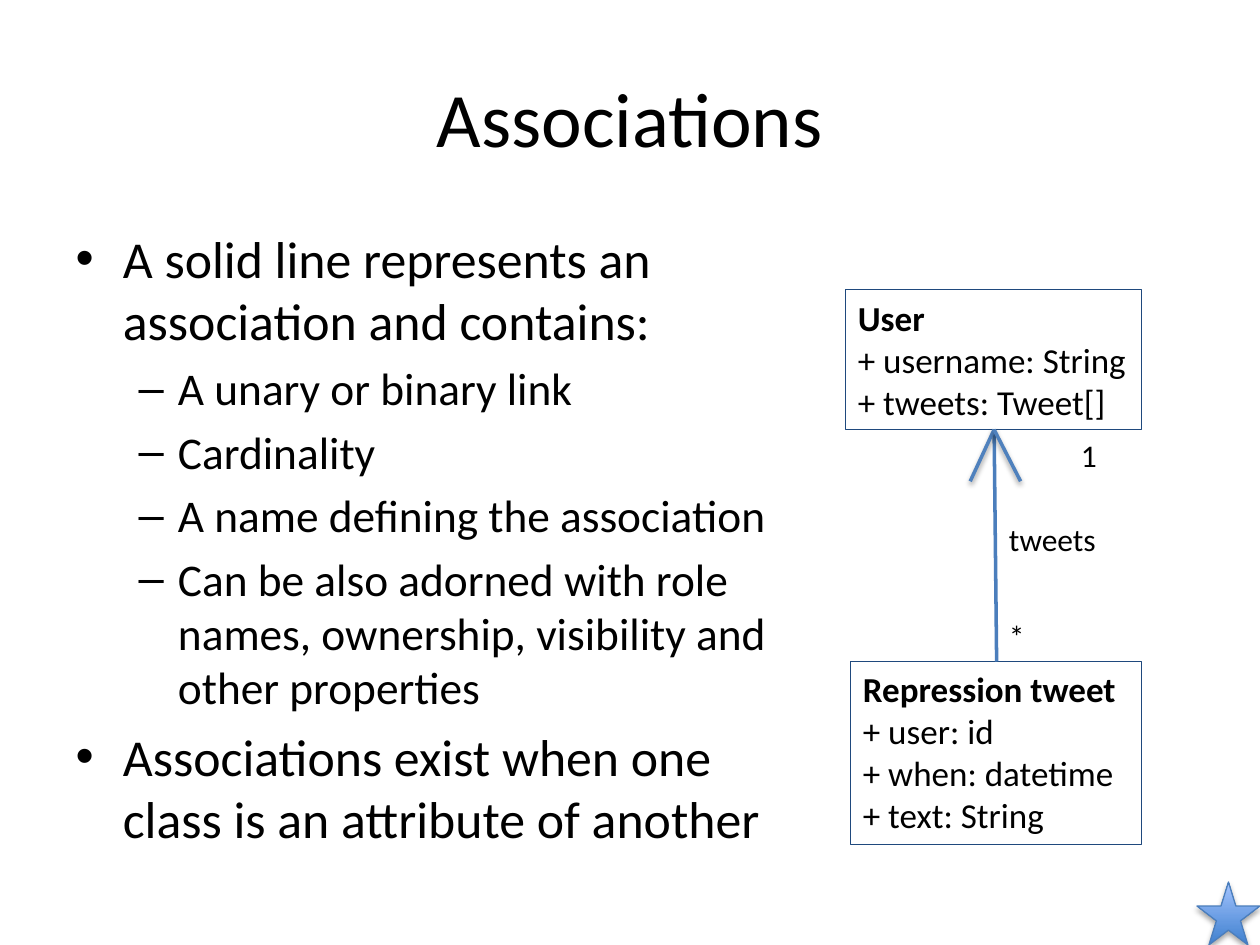
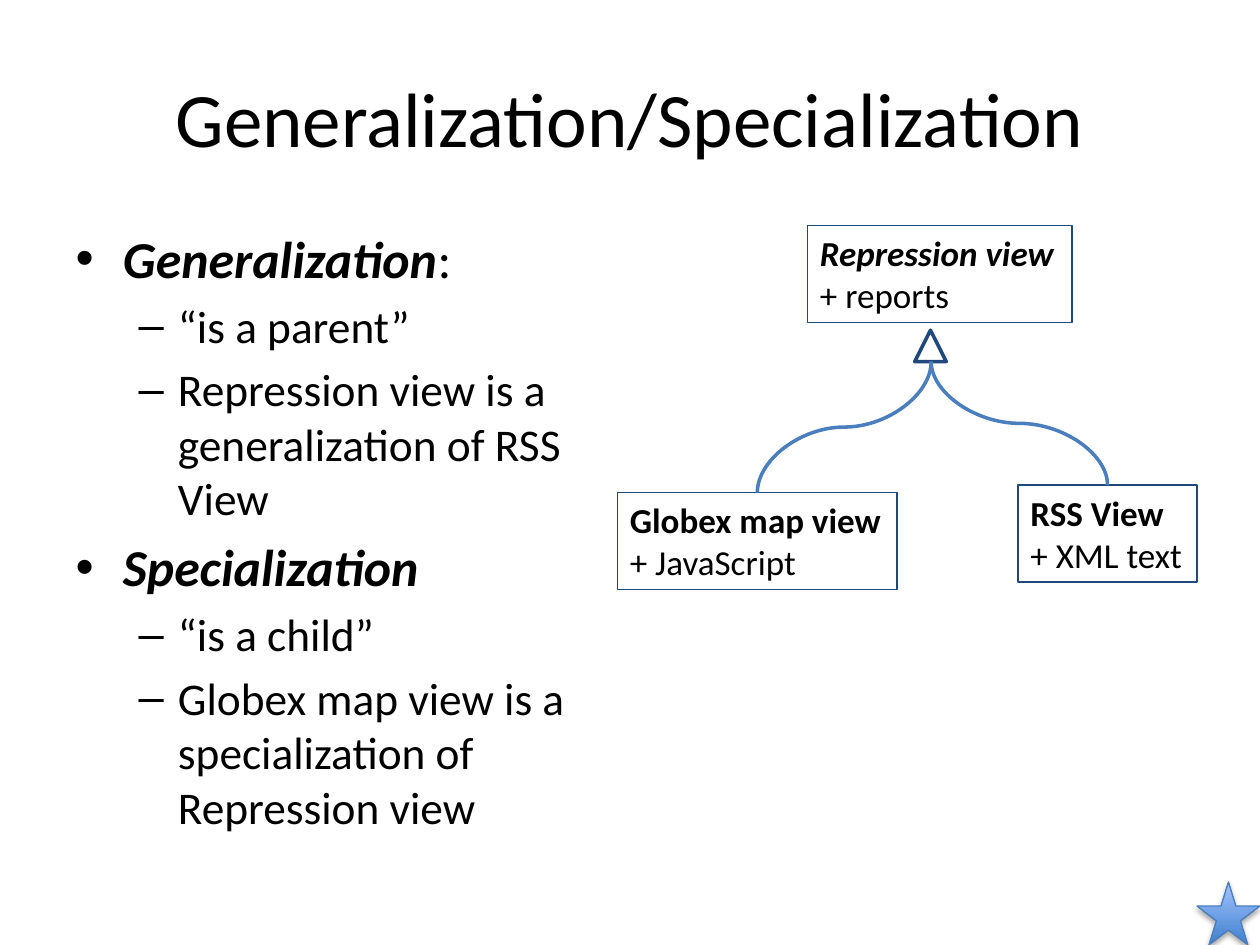
from lxml.etree import SubElement
from pptx import Presentation
from pptx.dml.color import RGBColor
from pptx.enum.shapes import MSO_CONNECTOR, MSO_SHAPE
from pptx.enum.text import MSO_AUTO_SIZE
from pptx.oxml.ns import qn
from pptx.util import Inches, Pt

FONT = "Calibri"
BLACK = RGBColor(0x00, 0x00, 0x00)
WHITE = RGBColor(0xFF, 0xFF, 0xFF)
NAVY = RGBColor(0x1F, 0x49, 0x7D)
LINK_BLUE = RGBColor(0x4B, 0x7E, 0xBC)
ARROW_BLUE = RGBColor(0x4F, 0x81, 0xBD)
STAR_DARK = RGBColor(0x3F, 0x80, 0xCE)
STAR_LIGHT = RGBColor(0xA4, 0xC4, 0xFF)
BULLET_SIZES = [29.6, 25.9]


def finish_outline(shape, color, width, shadow=None):
    """Set the line and either a (opacity percent, distance) shadow or none."""
    shape.line.color.rgb = color
    shape.line.width = Pt(width)
    effects = SubElement(shape.element.spPr, qn("a:effectLst"))
    if shadow:
        opacity, distance = shadow
        outer = SubElement(effects, qn("a:outerShdw"), blurRad=str(Pt(3.1)),
                           dist=str(Pt(distance)), dir="5400000", rotWithShape="0")
        black = SubElement(outer, qn("a:srgbClr"), val=str(BLACK))
        SubElement(black, qn("a:alpha"), val=str(opacity * 1000))


def add_text(slide, box, lines, size):
    text_box = slide.shapes.add_textbox(*map(Inches, box))
    text_frame = text_box.text_frame
    text_frame.word_wrap = False
    text_frame.auto_size = MSO_AUTO_SIZE.SHAPE_TO_FIT_TEXT
    text_frame.text = "\n".join(lines)
    for paragraph in text_frame.paragraphs:
        font = paragraph.runs[0].font
        font.name, font.size, font.color.rgb = FONT, Pt(size), BLACK
    return text_box


presentation = Presentation()
presentation.slide_width = Inches(10)
presentation.slide_height = Inches(7.5)

# Title, body width, and bullets as (level, emphasized text, plain text)
pages = [
    ("Associations", 5.75, [
        (0, "", "A solid line represents an association and contains:"),
        (1, "", "A unary or binary link"),
        (1, "", "Cardinality"),
        (1, "", "A name defining the association"),
        (1, "", "Can be also adorned with role names, ownership, visibility and other properties"),
        (0, "", "Associations exist when one class is an attribute of another"),
    ]),
    ("Generalization/Specialization", 4.4, [
        (0, "Generalization", ":"),
        (1, "", "“is a parent”"),
        (1, "", "Repression view is a generalization of RSS View"),
        (0, "Specialization", ""),
        (1, "", "“is a child”"),
        (1, "", "Globex map view is a specialization of Repression view"),
    ]),
]

for title_text, body_width, bullets in pages:
    slide = presentation.slides.add_slide(presentation.slide_layouts[1])
    title, body = slide.placeholders
    title.left, title.top, title.width, title.height = map(Inches, (0.5, 0.3, 9, 1.25))
    title.text_frame.text = title_text
    title_font = title.text_frame.paragraphs[0].runs[0].font
    title_font.name, title_font.size, title_font.color.rgb = FONT, Pt(44), BLACK

    body.left, body.top, body.width, body.height = map(Inches, (0.5, 1.75, body_width, 4.95))
    body.text_frame.auto_size = MSO_AUTO_SIZE.NONE
    body.text_frame.text = "\n".join(emphasized or plain for _, emphasized, plain in bullets)
    for paragraph, (level, emphasized, plain) in zip(body.text_frame.paragraphs, bullets):
        paragraph.level = level
        if emphasized:
            paragraph.runs[0].font.bold = True
            paragraph.runs[0].font.italic = True
            if plain:
                paragraph.add_run().text = plain
        for run in paragraph.runs:
            run.font.name, run.font.color.rgb = FONT, BLACK
            run.font.size = Pt(BULLET_SIZES[level])

    star = slide.shapes.add_shape(MSO_SHAPE.STAR_5_POINT, *map(Inches, (9.5, 7, 0.5, 0.5)))
    star.fill.gradient()
    star.fill.gradient_angle = 90
    for stop, color in zip(star.fill.gradient_stops, (STAR_DARK, STAR_LIGHT)):
        stop.color.rgb = color
    finish_outline(star, LINK_BLUE, 0.75, (35, 1.8))

associations, generalization = presentation.slides

class_boxes = [
    (associations, (6.71, 2.3, 2.35, 1.11), ["User", "+ username: String", "+ tweets: Tweet[]"]),
    (associations, (6.75, 5.25, 2.31, 1.45),
     ["Repression tweet", "+ user: id", "+ when: datetime", "+ text: String"]),
    (generalization, (6.41, 1.79, 2.1, 0.77), ["Repression view", "+ reports"]),
    (generalization, (4.9, 3.91, 2.22, 0.77), ["Globex map view", "+ JavaScript"]),
    (generalization, (8.08, 3.85, 1.42, 0.77), ["RSS View", "+ XML text"]),
]
for slide, box, lines in class_boxes:
    class_box = add_text(slide, box, lines, 20)
    class_box.fill.solid()
    class_box.fill.fore_color.rgb = WHITE
    finish_outline(class_box, NAVY, 0.75)
    name_font = class_box.text_frame.paragraphs[0].runs[0].font
    name_font.bold = True
    if lines[0] == "Repression view":
        name_font.italic = True

# Association line with an open arrowhead at the User class
arrow_tip = (7.89, 3.41)
for end, color, shadow in [((7.91, 5.25), LINK_BLUE, None),
                           ((7.7, 3.82), ARROW_BLUE, (38, 1.6)),
                           ((8.1, 3.82), ARROW_BLUE, (38, 1.6))]:
    line = associations.shapes.add_connector(
        MSO_CONNECTOR.STRAIGHT, *map(Inches, arrow_tip + end))
    finish_outline(line, color, 2, shadow)

for left, top, width, label in [(8.48, 3.41, 0.33, "1"),
                                (7.91, 4.85, 0.33, "*"),
                                (7.91, 4.08, 0.9, "tweets")]:
    add_text(associations, (left, top, width, 0.4), [label], 18)

# Inheritance triangle joined to both child classes
triangle = generalization.shapes.add_shape(
    MSO_SHAPE.ISOSCELES_TRIANGLE, *map(Inches, (7.26, 2.62, 0.25, 0.25)))
triangle.fill.solid()
triangle.fill.fore_color.rgb = WHITE
finish_outline(triangle, NAVY, 2)

parent_x, parent_y = 7.39, 2.87
for child_x, child_y in [(6.01, 3.91), (8.79, 3.85)]:
    # A quarter turn about the centre makes the curve leave its ends vertically
    center_x, center_y = (child_x + parent_x) / 2, (child_y + parent_y) / 2
    turn = 1 if child_x < parent_x else -1
    offset_x = turn * (child_y - parent_y) / 2
    offset_y = turn * (parent_x - child_x) / 2
    curve = generalization.shapes.add_connector(
        MSO_CONNECTOR.CURVE,
        Inches(center_x + offset_x), Inches(center_y + offset_y),
        Inches(center_x - offset_x), Inches(center_y - offset_y))
    curve.element.spPr.find(qn("a:xfrm")).set("rot", str(turn * 90 % 360 * 60000))
    finish_outline(curve, LINK_BLUE, 2)

presentation.save("out.pptx")
